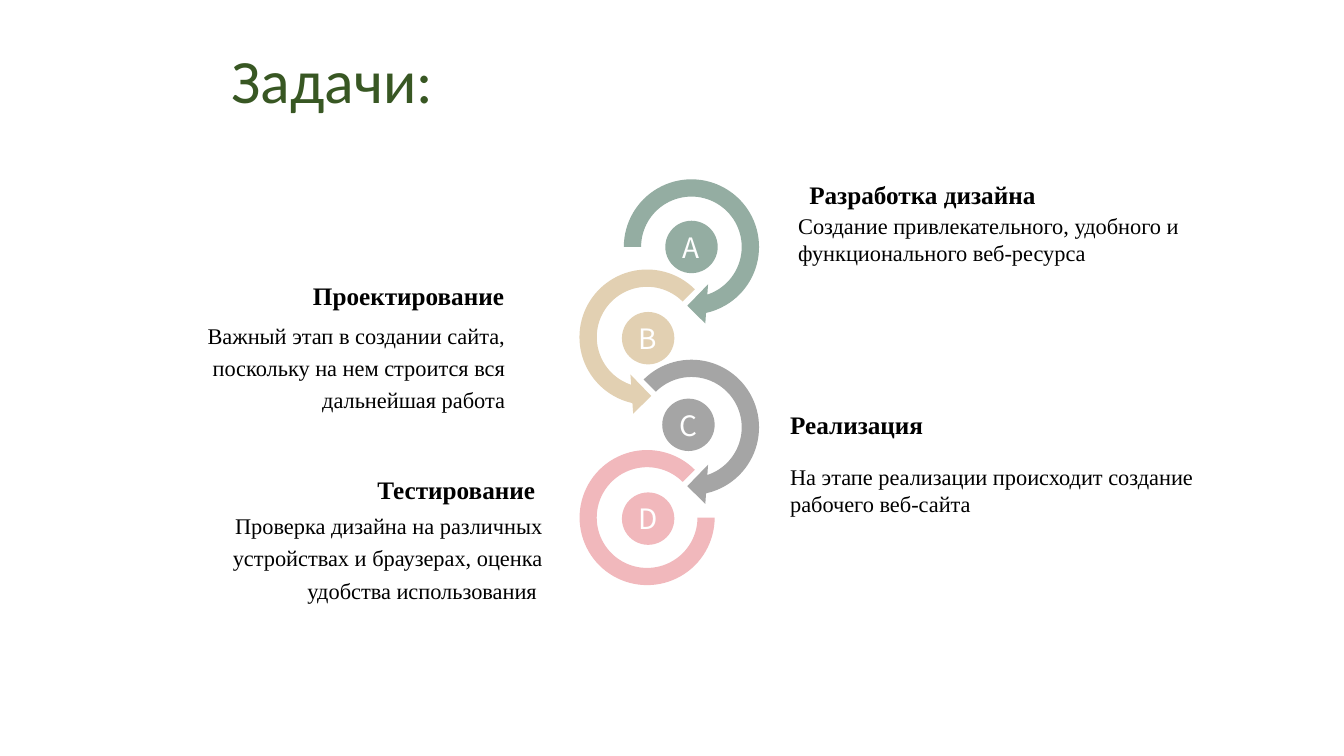
from dataclasses import dataclass

from pptx import Presentation
from pptx.dml.color import RGBColor
from pptx.enum.shapes import MSO_SHAPE
from pptx.enum.text import MSO_ANCHOR, PP_ALIGN
from pptx.shapes.autoshape import Shape
from pptx.slide import Slide
from pptx.util import Inches, Pt

# The slide is a grid of 160 columns by 90 rows with square cells
CELL = Inches(13.333) / 160
COLORS = {
    "title": "385723",
    "text": "000000",
    "letter": "FFFFFF",
    "sage": "94ADA2",
    "sand": "E2D0B2",
    "gray": "A5A5A5",
    "pink": "F1B8BC",
}
SERIF = "Times New Roman"

# Rings of the chain: equal vertical steps, alternating sides
FIRST_ROW = 29.4
ROW_STEP = 10.74
RIGHT_COLUMN, LEFT_COLUMN = 82.32, 77.04
ARROW_SIZE, ARC_SIZE, DISC_SIZE = 18.72, 16.08, 6.24


@dataclass
class Ring:
    letter: str
    color: str
    kind: MSO_SHAPE
    size: float
    adjustments: tuple[float, ...]
    disc_shift: tuple[float, float] = (0, 0)


@dataclass
class Label:
    text: str
    column: float
    row: float
    width: float
    height: float
    align: PP_ALIGN
    bold: bool = False
    line_spacing: float = 1.2


RINGS = [
    Ring("A", "sage", MSO_SHAPE.CIRCULAR_ARROW, ARROW_SIZE,
         (0.11, 11.423, 45, 108, 0.125)),
    Ring("B", "sand", MSO_SHAPE.LEFT_CIRCULAR_ARROW, ARROW_SIZE,
         (0.11, 11.423, 63, 189, 0.125), (0.12, 0.12)),
    Ring("C", "gray", MSO_SHAPE.CIRCULAR_ARROW, ARROW_SIZE,
         (0.11, 11.423, 45, 135, 0.125), (-0.36, -0.3)),
    Ring("D", "pink", MSO_SHAPE.BLOCK_ARC, ARC_SIZE,
         (0, 189, 0.127), (0.12, 0.12)),
]

LABELS = [
    Label("Разработка дизайна", 95.16, 20.04, 29.4, 5.5, PP_ALIGN.JUSTIFY, bold=True),
    Label("Создание привлекательного, удобного и функционального веб-ресурса",
          93.84, 24.72, 53.28, 7.7, PP_ALIGN.LEFT, line_spacing=1.0),
    Label("Проектирование", 31.8, 32.04, 29.4, 5.5, PP_ALIGN.RIGHT, bold=True),
    Label("Важный этап в создании сайта, поскольку на нем строится вся "
          "дальнейшая работа", 23.04, 37.08, 38.28, 12.84, PP_ALIGN.RIGHT),
    Label("Реализация", 92.88, 47.4, 29.4, 5.5, PP_ALIGN.JUSTIFY, bold=True),
    Label("На этапе реализации происходит создание рабочего веб-сайта",
          92.88, 54.6, 53.28, 7.7, PP_ALIGN.LEFT, line_spacing=1.0),
    Label("Тестирование ", 36.24, 55.2, 29.4, 5.5, PP_ALIGN.RIGHT, bold=True),
    Label("Проверка дизайна на различных устройствах и браузерах, оценка "
          "удобства использования ", 23.04, 59.76, 42.72, 12.84, PP_ALIGN.RIGHT),
]


def cells(*counts: float) -> list[int]:
    return [round(count * CELL) for count in counts]


def write(shape: Shape, text: str, *, size: float, font: str, color: str,
          bold: bool = False, align: PP_ALIGN = PP_ALIGN.LEFT,
          anchor: MSO_ANCHOR = MSO_ANCHOR.TOP, line_spacing: float = 1.0) -> None:
    frame = shape.text_frame
    frame.word_wrap = True
    frame.vertical_anchor = anchor
    paragraph = frame.paragraphs[0]
    paragraph.alignment = align
    paragraph.line_spacing = line_spacing
    run = paragraph.add_run()
    run.text = text
    run.font.size = Pt(size)
    run.font.name = font
    run.font.bold = bold
    run.font.color.rgb = RGBColor.from_string(COLORS[color])


def add_centered(slide: Slide, kind: MSO_SHAPE, column: float, row: float,
                 size: float, color: str) -> Shape:
    shape = slide.shapes.add_shape(
        kind, *cells(column - size / 2, row - size / 2, size, size))
    shape.shadow.inherit = False
    shape.fill.solid()
    shape.fill.fore_color.rgb = RGBColor.from_string(COLORS[color])
    shape.line.fill.background()
    return shape


def add_ring(slide: Slide, ring: Ring, index: int) -> None:
    column = LEFT_COLUMN if index % 2 else RIGHT_COLUMN
    row = FIRST_ROW + index * ROW_STEP
    arc = add_centered(slide, ring.kind, column, row, ring.size, ring.color)
    for position, value in enumerate(ring.adjustments):
        arc.adjustments[position] = value

    shift_x, shift_y = ring.disc_shift
    disc = add_centered(slide, MSO_SHAPE.OVAL, column + shift_x, row + shift_y,
                        DISC_SIZE, ring.color)
    frame = disc.text_frame
    frame.margin_left = frame.margin_right = frame.margin_top = frame.margin_bottom = 0
    write(disc, ring.letter, size=20, font="Noto Sans CJK SC", color="letter",
          align=PP_ALIGN.CENTER, anchor=MSO_ANCHOR.MIDDLE)


def add_label(slide: Slide, label: Label) -> None:
    box = slide.shapes.add_textbox(
        *cells(label.column, label.row, label.width, label.height))
    write(box, label.text, size=18 if label.bold else 16, font=SERIF, color="text",
          bold=label.bold, align=label.align, line_spacing=label.line_spacing)


def main() -> None:
    presentation = Presentation()
    presentation.slide_width, presentation.slide_height = cells(160, 90)
    slide = presentation.slides.add_slide(presentation.slide_layouts[6])

    # Title
    title = slide.shapes.add_textbox(*cells(26.4, 4.8, 122.52, 10.32))
    write(title, "Задачи:", size=44, font="Calibri", color="title",
          anchor=MSO_ANCHOR.MIDDLE, line_spacing=0.9)

    # Chain of lettered rings
    for index, ring in enumerate(RINGS):
        add_ring(slide, ring, index)

    # Headings and descriptions
    for label in LABELS:
        add_label(slide, label)

    presentation.save("out.pptx")


if __name__ == "__main__":
    main()
